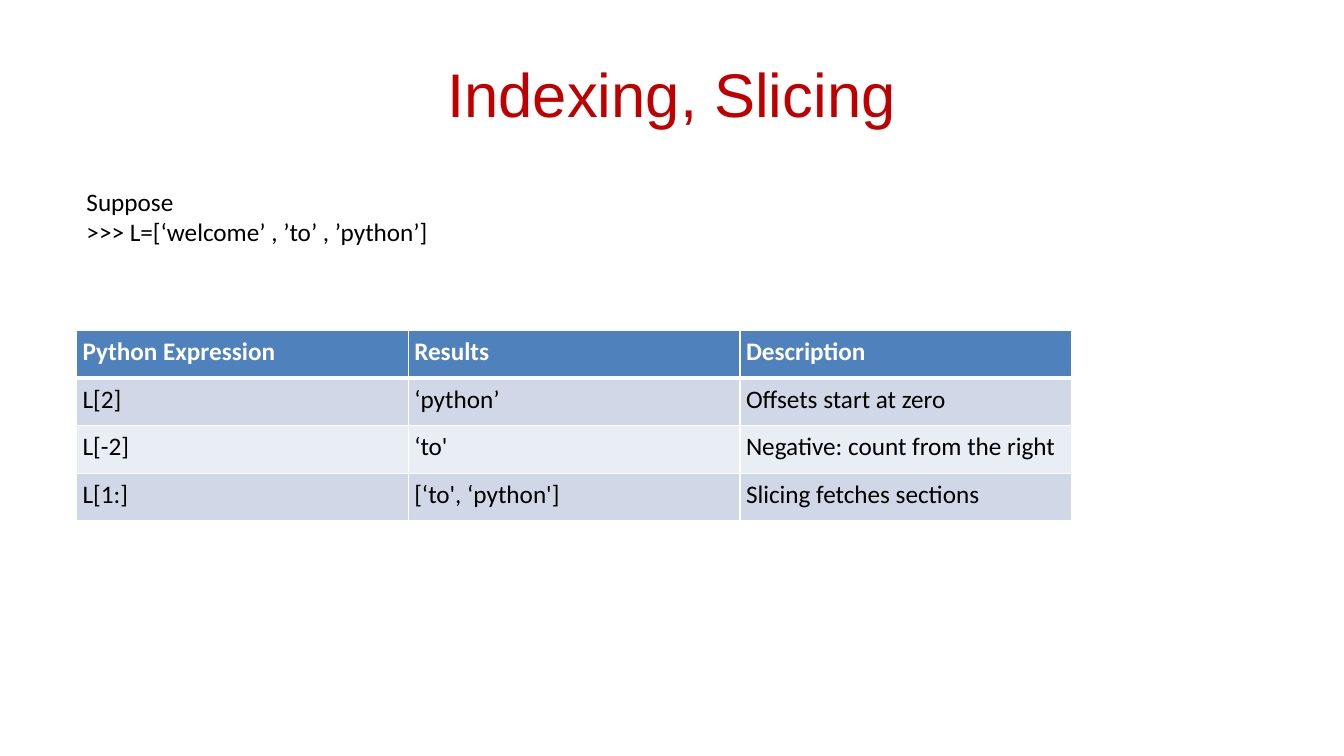
from dataclasses import dataclass

from lxml import etree
from pptx import Presentation
from pptx.dml.color import RGBColor
from pptx.enum.text import MSO_ANCHOR, PP_ALIGN
from pptx.oxml.ns import qn
from pptx.util import Cm, Pt

CENTER = PP_ALIGN.CENTER
MIDDLE = MSO_ANCHOR.MIDDLE
TITLE_ONLY_LAYOUT = 5

RED, BLACK, WHITE = "C00000", "000000", "FFFFFF"
HEADER_FILL = "4F81BD"
BAND_FILLS = ("D0D8E8", "E9EDF4")

LEFT = Cm(1.93)
COLUMN_WIDTH = Cm(8.36)
ROW_HEIGHT = Cm(1.2)
CELL_MARGIN = Cm(0.15)


@dataclass(frozen=True)
class Example:
    expression: str
    result: str
    description: str


HEADINGS = Example("Python Expression", "Results", "Description")
EXAMPLES = (
    Example("L[2]", "‘python’", "Offsets start at zero"),
    Example("L[-2]", "‘to'", "Negative: count from the right"),
    Example("L[1:]", "[‘to', ‘python']", "Slicing fetches sections"),
)
SETUP_LINES = ("Suppose", ">>> L=[‘welcome’ , ’to’ , ’python’]")


def rgb(color: str) -> RGBColor:
    return RGBColor.from_string(color)


def add_run(paragraph, text: str, color: str = BLACK, size: float = 18,
            font: str = "Calibri", bold: bool = False) -> None:
    run = paragraph.add_run()
    run.text = text
    run.font.name = font
    run.font.size = Pt(size)
    run.font.bold = bold
    run.font.color.rgb = rgb(color)


def set_borders(cell, bottom: float, top: float) -> None:
    properties = cell._tc.get_or_add_tcPr()
    widths = {"a:lnL": 1, "a:lnR": 1, "a:lnT": top, "a:lnB": bottom}
    for position, (tag, width) in enumerate(widths.items()):
        line = etree.Element(qn(tag), w=str(Pt(width)))
        fill = etree.SubElement(line, qn("a:solidFill"))
        etree.SubElement(fill, qn("a:srgbClr"), val=WHITE)
        properties.insert(position, line)


def fill_row(table, row: int, example: Example) -> None:
    is_header = row == 0
    fill = HEADER_FILL if is_header else BAND_FILLS[(row - 1) % 2]
    texts = (example.expression, example.result, example.description)
    table.rows[row].height = ROW_HEIGHT
    for column, text in enumerate(texts):
        cell = table.cell(row, column)
        cell.margin_left = cell.margin_right = CELL_MARGIN
        cell.margin_top = cell.margin_bottom = CELL_MARGIN
        cell.fill.solid()
        cell.fill.fore_color.rgb = rgb(fill)
        set_borders(cell, bottom=3 if is_header else 1, top=3 if row == 1 else 1)
        add_run(cell.text_frame.paragraphs[0], text,
                WHITE if is_header else BLACK, bold=is_header)


def main() -> None:
    deck = Presentation()
    deck.slide_width, deck.slide_height = Cm(33.87), Cm(19.05)
    slide = deck.slides.add_slide(deck.slide_layouts[TITLE_ONLY_LAYOUT])

    # Title
    title = slide.shapes.title
    title.left, title.top = Cm(1.69), Cm(0.76)
    title.width, title.height = Cm(30.48), Cm(3.18)
    title.text_frame.vertical_anchor = MIDDLE
    heading = title.text_frame.paragraphs[0]
    heading.alignment = CENTER
    add_run(heading, "Indexing, Slicing", RED, 44, "Arial")

    # List used by the examples
    setup = slide.shapes.add_textbox(LEFT, Cm(4.57), Cm(16.61), Cm(2.57)).text_frame
    setup.word_wrap = True
    for number, text in enumerate(SETUP_LINES):
        paragraph = setup.add_paragraph() if number else setup.paragraphs[0]
        add_run(paragraph, text)

    # Table of expressions
    rows = (HEADINGS, *EXAMPLES)
    table = slide.shapes.add_table(len(rows), 3, LEFT, Cm(8.33),
                                   COLUMN_WIDTH * 3, ROW_HEIGHT * len(rows)).table
    for column in table.columns:
        column.width = COLUMN_WIDTH
    for row, example in enumerate(rows):
        fill_row(table, row, example)

    deck.save("out.pptx")


if __name__ == "__main__":
    main()
